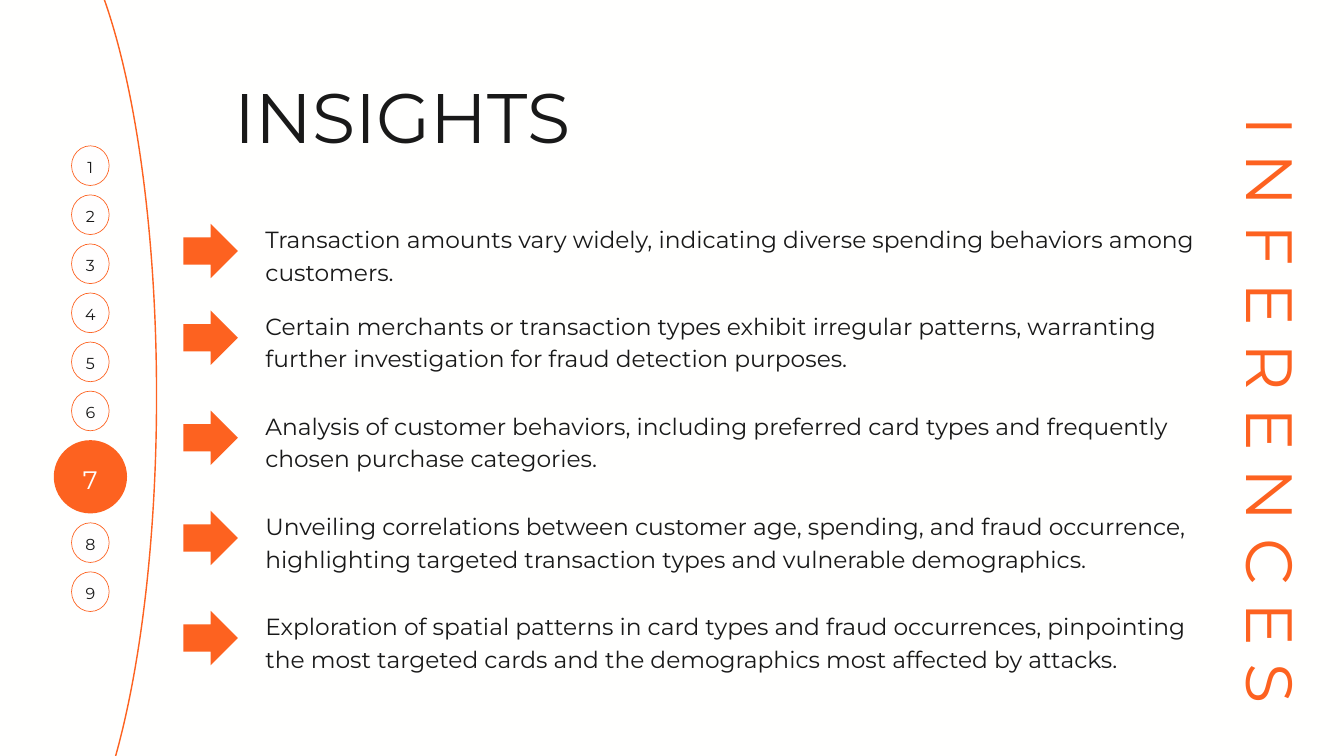
from pptx import Presentation
from pptx import util as u
from pptx.dml.color import RGBColor
from pptx.enum import shapes, text

COLORS = {"paper": "FFFFFE", "white": "FFFEFE", "orange": "FD6220", "ink": "191919"}
FONT = "Montserrat"
CENTER = text.PP_ALIGN.CENTER

PAGES, CURRENT_PAGE = 9, 7
INSIGHTS = [
    "Transaction amounts vary widely, indicating diverse spending behaviors among customers.",
    "Certain merchants or transaction types exhibit irregular patterns, warranting further "
    "investigation for fraud detection purposes.",
    "Analysis of customer behaviors, including preferred card types and frequently chosen "
    "purchase categories.",
    "Unveiling correlations between customer age, spending, and fraud occurrence, highlighting "
    "targeted transaction types and vulnerable demographics.",
    "Exploration of spatial patterns in card types and fraud occurrences, pinpointing the most "
    "targeted cards and the demographics most affected by attacks.",
]


def rgb(name):
    return RGBColor.from_string(COLORS[name])


def write(frame, words, size, leading, color, align=text.PP_ALIGN.LEFT, **frame_format):
    frame_format = {"margin_left": 0, "margin_top": 0, "margin_right": 0,
                    "margin_bottom": 0, "word_wrap": True} | frame_format
    for name, value in frame_format.items():
        setattr(frame, name, value)
    paragraph = frame.paragraphs[0]
    paragraph.alignment, paragraph.line_spacing = align, u.Pt(leading)
    run = paragraph.add_run()
    run.text = words
    for name, value in {"name": FONT, "size": u.Pt(size)}.items():
        setattr(run.font, name, value)
    run.font.color.rgb = rgb(color)


def add_figure(slide, kind, box, fill=None, line=None, width=0.75):
    figure = slide.shapes.add_shape(kind, *map(u.Inches, box))
    figure.shadow.inherit = False
    if fill:
        figure.fill.solid()
        figure.fill.fore_color.rgb = rgb(fill)
    else:
        figure.fill.background()
    if line:
        figure.line.color.rgb = rgb(line)
        figure.line.width = u.Pt(width)
    else:
        figure.line.fill.background()
    return figure


def add_text(slide, box, words, size, leading, color, **options):
    label = slide.shapes.add_textbox(*map(u.Inches, box))
    write(label.text_frame, words, size, leading, color,
          auto_size=text.MSO_AUTO_SIZE.SHAPE_TO_FIT_TEXT, **options)
    return label


def add_page_column(slide, left, top, width):
    """Stack the page badges, the current one larger and filled."""
    gap = 0.14
    for page in range(1, PAGES + 1):
        current = page == CURRENT_PAGE
        badge_width, badge_height = (width, width) if current else (0.56, 0.59)
        box = (left + (width - badge_width) / 2, top, badge_width, badge_height)
        badge = add_figure(slide, shapes.MSO_SHAPE.OVAL, box,
                           fill="orange" if current else "white",
                           line=None if current else "orange")
        size, leading, color = (27, 37.8, "white") if current else (17, 23.8, "ink")
        write(badge.text_frame, str(page), size, leading, color, CENTER,
              word_wrap=False, vertical_anchor=text.MSO_ANCHOR.MIDDLE)
        top += badge_height + gap


def add_side_title(slide, left, top, width, height, words):
    """Turn a centred title a quarter clockwise inside an upright box."""
    center_x, center_y = left + width / 2, top + height / 2
    box = (center_x - height / 2, center_y - width / 2, height, width)
    title = add_text(slide, box, words, 70, 98, "orange", align=CENTER)
    title.rotation = 90


def add_insight(slide, left, top, width, height, words):
    """Place an arrow at the left and the statement beside it."""
    arrow, indent = 0.81, 1.22
    add_figure(slide, shapes.MSO_SHAPE.RIGHT_ARROW, (left, top + 0.05, arrow, arrow), fill="orange")
    add_text(slide, (left + indent, top, width - indent, height), words, 25, 35, "ink")


def main():
    deck = Presentation()
    deck.slide_width, deck.slide_height = u.Inches(20), u.Inches(11.25)
    slide = deck.slides.add_slide(deck.slide_layouts[6])
    slide.background.fill.solid()
    slide.background.fill.fore_color.rgb = rgb("paper")

    # Curved edge and page numbers
    add_figure(slide, shapes.MSO_SHAPE.OVAL, (-1.5, -1.44, 3.83, 14.66), line="orange", width=1.5)
    add_page_column(slide, 0.8, 2.17, 1.09)

    # Titles
    add_text(slide, (3.49, 1.22, 6.29, 1.16), "INSIGHTS", 75, 81, "ink")
    add_side_title(slide, 18.4, 1.35, 1.31, 9.51, "I N F E R E N C E S")

    # Insights: the first sits closer to the evenly spaced rest
    tops = [3.28] + [4.57 + 1.49 * row for row in range(len(INSIGHTS) - 1)]
    for top, words in zip(tops, INSIGHTS):
        add_insight(slide, 2.73, top, 15.27, 0.94, words)

    deck.save("out.pptx")


if __name__ == "__main__":
    main()
